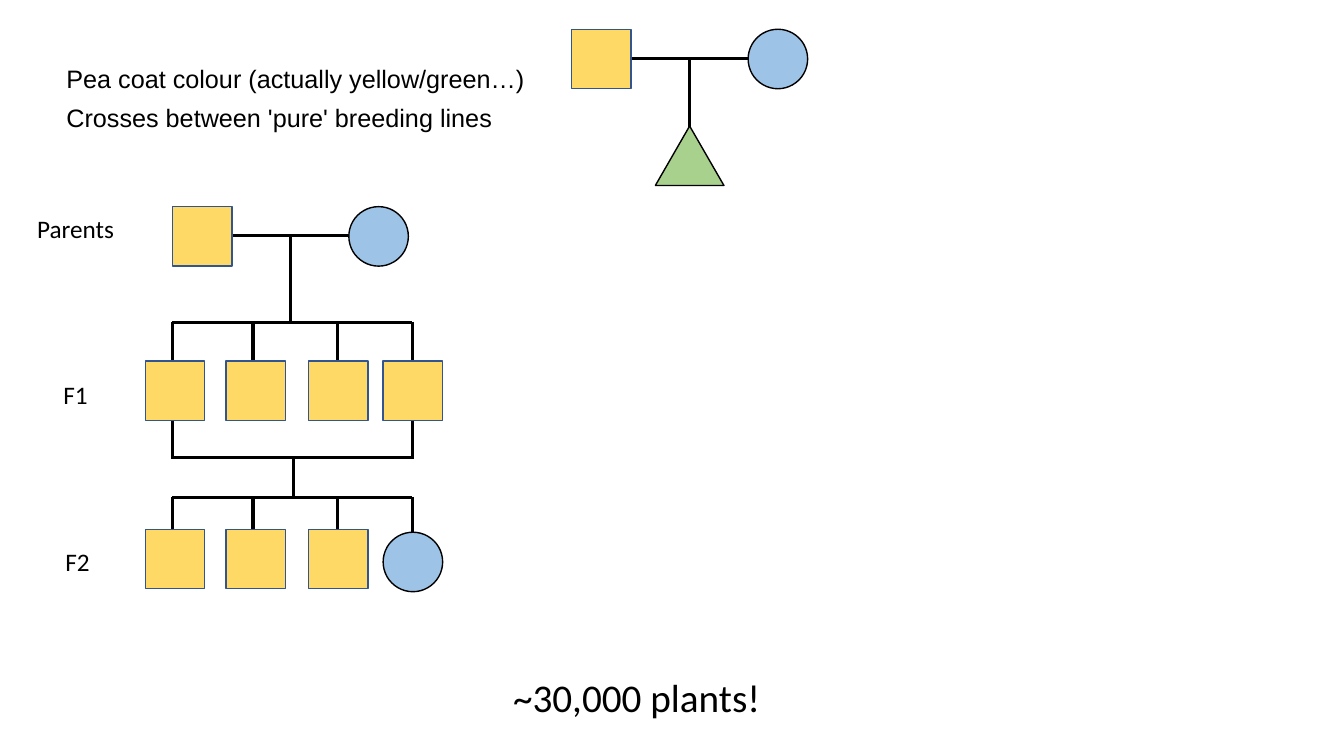
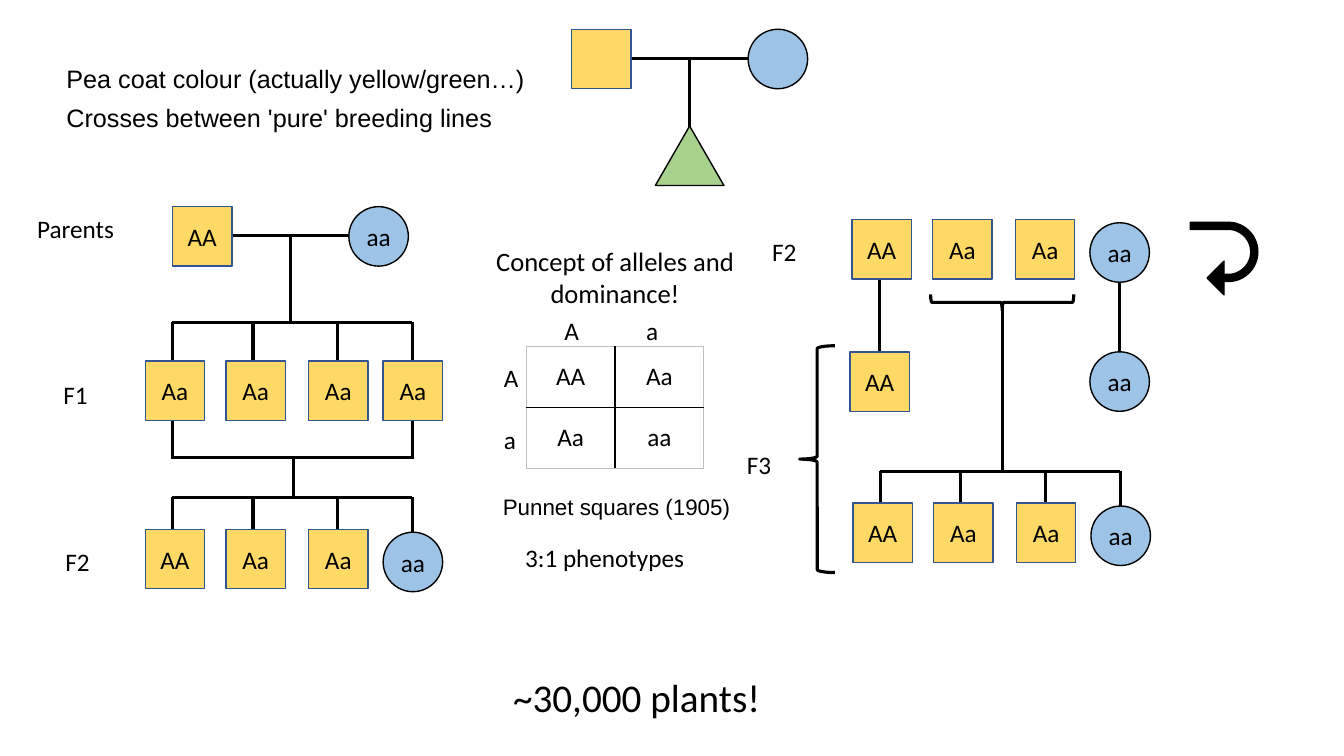
import dataclasses
import lxml.etree
import pptx
import pptx.dml.color
import pptx.enum.shapes
import pptx.enum.text
import pptx.oxml.ns
import pptx.util

PX = 9144
SHAPE = pptx.enum.shapes.MSO_SHAPE
ALIGN = pptx.enum.text.PP_ALIGN


@dataclasses.dataclass(frozen=True)
class Theme:
    ink: str = "000000"
    dominant: str = "FFD966"
    dominant_edge: str = "325491"
    recessive: str = "9DC3E6"
    offspring: str = "A9D18E"
    grid_edge: str = "BFBFBF"
    body_font: str = "Calibri"
    note_font: str = "Arial"
    body: int = 18
    concept: int = 19
    caption: int = 16
    headline: int = 28
    thin: float = 1
    thick: float = 2.25


THEME = Theme()
SIZE = 59
SLOTS = (0, 80, 162, 236)
DROPS = (27, 107, 191, 265)
INTRO = ["Pea coat colour (actually yellow/green…)", "Crosses between 'pure' breeding lines"]
HEADLINE = "~30,000 plants!"
PARENTS = ("AA", "aa")
F1 = ("Aa", "Aa", "Aa", "Aa")
F2 = ("AA", "Aa", "Aa", "aa")
PUNNETT = [["AA", "Aa"], ["Aa", "aa"]]

GENERATION_LABELS = [
    ("Parents", 27, 207, 97),
    ("F1", 53, 371, 45),
    ("F2", 55, 537, 45),
]
SELFING_LABELS = [("F2", 756, 230, 45), ("F3", 731, 441, 45)]
GAMETE_LABELS = [
    ("A", 550, 308, 35),
    ("a", 631, 308, 32),
    ("A", 490, 355, 35),
    ("a", 490, 416, 32),
]
RATIO_LABEL = ("3:1 phenotypes", 511, 533, 180)


def px(value):
    return pptx.util.Emu(round(value * PX))


def color(value):
    return pptx.dml.color.RGBColor.from_string(value)


def write(para, text, size=THEME.body, font=THEME.body_font):
    span = para.add_run()
    span.text = text
    span.font.size = pptx.util.Pt(size)
    span.font.name = font
    span.font.color.rgb = color(THEME.ink)


def add_text(page, lines, left, top, width, height, size=THEME.body,
             font=THEME.body_font, align=ALIGN.LEFT, wrap=True, after=0):
    box = page.shapes.add_textbox(px(left), px(top), px(width), px(height))
    frame = box.text_frame
    frame.word_wrap = wrap
    frame.auto_size = pptx.enum.text.MSO_AUTO_SIZE.SHAPE_TO_FIT_TEXT
    for index, line in enumerate(lines):
        para = frame.add_paragraph() if index else frame.paragraphs[0]
        para.alignment = align
        para.space_after = pptx.util.Pt(after)
        write(para, line, size, font)


def add_labels(page, labels):
    for text, left, top, width in labels:
        add_text(page, [text], left, top, width, 40, wrap=False)


def add_line(page, x1, y1, x2, y2):
    line = page.shapes.add_connector(
        pptx.enum.shapes.MSO_CONNECTOR.STRAIGHT, px(x1), px(y1), px(x2), px(y2))
    line.line.color.rgb = color(THEME.ink)
    line.line.width = pptx.util.Pt(THEME.thick)
    properties = line._element.spPr
    lxml.etree.SubElement(properties, pptx.oxml.ns.qn("a:effectLst"))


def add_shape(page, kind, left, top, width, height, fill=None,
              edge=THEME.ink, weight=THEME.thin):
    shape = page.shapes.add_shape(kind, px(left), px(top), px(width), px(height))
    shape.shadow.inherit = False
    if fill:
        shape.fill.solid()
        shape.fill.fore_color.rgb = color(fill)
    else:
        shape.fill.background()
    shape.line.color.rgb = color(edge)
    shape.line.width = pptx.util.Pt(weight)
    return shape


def add_plant(page, genotype, left, top, labelled):
    if genotype == "aa":
        plant = add_shape(page, SHAPE.OVAL, left, top, SIZE, SIZE, THEME.recessive)
    else:
        plant = add_shape(page, SHAPE.RECTANGLE, left, top, SIZE, SIZE,
                          THEME.dominant, THEME.dominant_edge)
    if labelled:
        frame = plant.text_frame
        frame.margin_left = frame.margin_right = 0
        frame.margin_top = frame.margin_bottom = 0
        frame.word_wrap = False
        frame.vertical_anchor = pptx.enum.text.MSO_ANCHOR.MIDDLE
        frame.paragraphs[0].alignment = ALIGN.CENTER
        write(frame.paragraphs[0], genotype)


def add_cross(page, left, top, labelled):
    add_line(page, left + 58, top + 29, left + 179, top + 29)
    add_line(page, left + 117, top + 29, left + 117, top + 115)
    for genotype, offset in zip(PARENTS, (0, 175)):
        add_plant(page, genotype, left + offset, top, labelled)


def add_siblings(page, genotypes, left, top, labelled):
    for slot, genotype in zip(SLOTS, genotypes):
        nudge = 3 if genotype == "aa" else 0
        add_plant(page, genotype, left + slot, top + nudge, labelled)


def add_rail(page, left, y, drops, reach):
    add_line(page, left + drops[0], y, left + drops[-1], y)
    overlap = 1 if reach > 0 else -1
    for drop in drops:
        add_line(page, left + drop, y - overlap, left + drop, y + reach)


def add_family(page, labelled):
    left = 144
    add_cross(page, 171, 205, labelled)
    add_rail(page, left, 320, DROPS, 41)
    add_rail(page, left, 454, (DROPS[0], DROPS[-1]), -40)
    add_line(page, 291, 454, 291, 495)
    add_rail(page, left, 494, DROPS, 41)
    add_siblings(page, F1, left, 358, labelled)
    add_siblings(page, F2, left, 525, labelled)
    add_labels(page, GENERATION_LABELS)


def add_selfing(page):
    add_line(page, 872, 275, 872, 349)
    add_line(page, 1110, 279, 1110, 353)
    add_line(page, 994, 302, 994, 467)
    add_rail(page, 846, 468, DROPS, 40)
    add_siblings(page, F2, 845, 218, True)
    add_siblings(page, F2, 846, 499, True)
    for genotype, left in zip(PARENTS, (843, 1081)):
        add_plant(page, genotype, left, 349, True)
    pair = add_shape(page, SHAPE.LEFT_BRACE, 986, 229, 16, 142, weight=THEME.thick)
    pair.rotation = 270
    add_shape(page, SHAPE.LEFT_BRACE, 793, 343, 35, 225, weight=THEME.thick)
    arrow = add_shape(page, SHAPE.U_TURN_ARROW, 1178, 223, 72, 67, THEME.ink)
    arrow.rotation = 90
    for index, value in enumerate((0.105, 0.25, 0.25, 0.438, 0.75)):
        arrow.adjustments[index] = value
    add_labels(page, SELFING_LABELS)


def set_border(cell, side, line_color):
    properties = cell._tc.get_or_add_tcPr()
    border = lxml.etree.SubElement(
        properties, pptx.oxml.ns.qn("a:" + side), w=str(pptx.util.Pt(THEME.thin)))
    fill = lxml.etree.SubElement(border, pptx.oxml.ns.qn("a:solidFill"))
    lxml.etree.SubElement(fill, pptx.oxml.ns.qn("a:srgbClr"), val=line_color)


def add_punnett(page):
    count = len(PUNNETT)
    table = page.shapes.add_table(
        count, count, px(522), px(344), px(176), px(121)).table
    table.first_row = table.horz_banding = False
    for row, genotypes in enumerate(PUNNETT):
        for column, genotype in enumerate(genotypes):
            cell = table.cell(row, column)
            cell.vertical_anchor = pptx.enum.text.MSO_ANCHOR.MIDDLE
            para = cell.text_frame.paragraphs[0]
            para.alignment = ALIGN.CENTER
            write(para, genotype)
            outer = {"lnL": column == 0, "lnR": column == count - 1,
                     "lnT": row == 0, "lnB": row == count - 1}
            for side, is_outer in outer.items():
                set_border(cell, side, THEME.grid_edge if is_outer else THEME.ink)
            cell.fill.background()
    add_labels(page, GAMETE_LABELS + [RATIO_LABEL])
    add_text(page, ["Concept of alleles and dominance!"], 476, 238, 268, 74,
             THEME.concept, align=ALIGN.CENTER, after=6)
    add_text(page, ["Punnet squares (1905)"], 470, 484, 283, 37,
             THEME.caption, THEME.note_font, ALIGN.CENTER, after=6)


def add_page(deck, labelled):
    page = deck.slides.add_slide(deck.slide_layouts[6])
    add_text(page, INTRO, 56, 58, 575, 79, font=THEME.note_font, after=6)
    add_cross(page, 567, 29, False)
    add_shape(page, SHAPE.ISOSCELES_TRIANGLE, 650, 125, 68, 59, THEME.offspring)
    add_text(page, [HEADLINE], 499, 663, 269, 57, THEME.headline, wrap=False)
    add_family(page, labelled)
    return page


def main():
    deck = pptx.Presentation()
    deck.slide_width, deck.slide_height = px(1333), px(750)
    add_page(deck, False)
    page = add_page(deck, True)
    add_selfing(page)
    add_punnett(page)
    deck.save("out.pptx")


if __name__ == "__main__":
    main()
